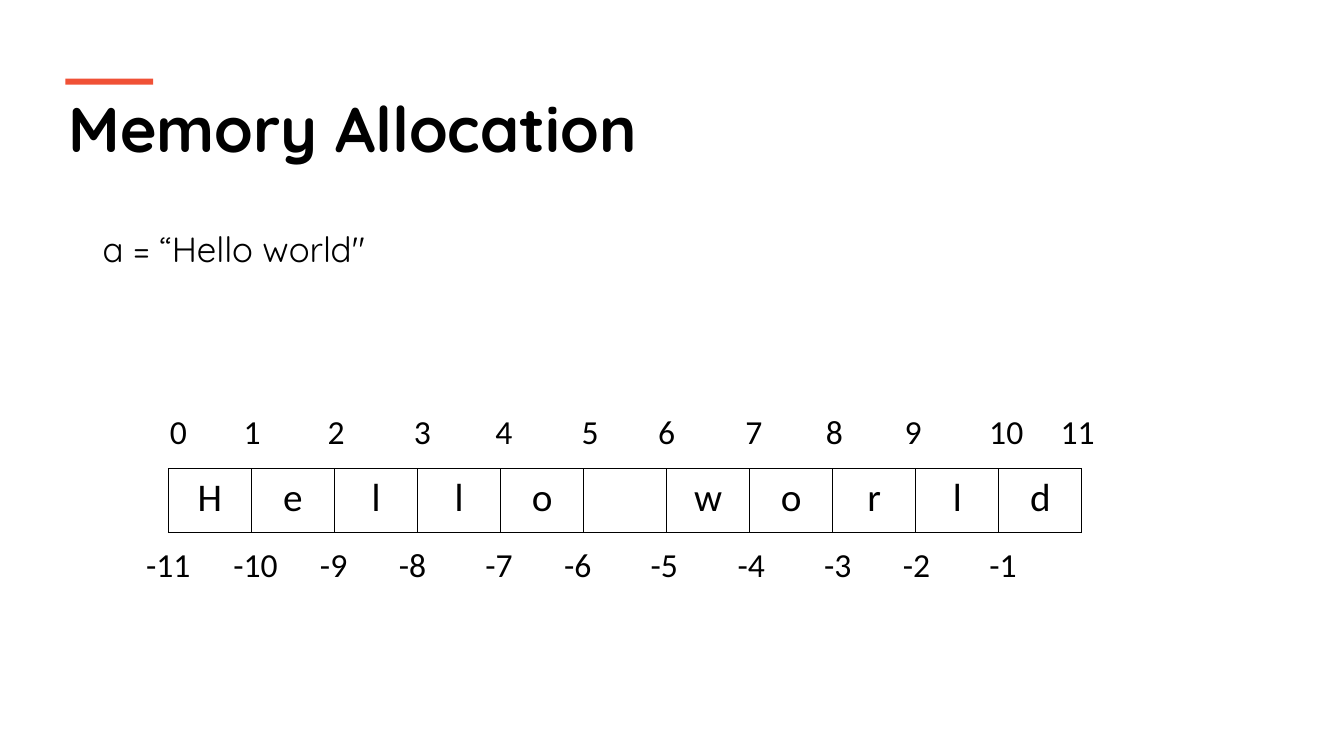
"""Build the slide on how a string is laid out in memory."""
import dataclasses

import lxml.etree
import pptx
import pptx.dml.color
import pptx.enum.shapes
import pptx.enum.text
import pptx.oxml.ns
import pptx.util

TITLE = "Memory Allocation"
STATEMENT = "a = “Hello world\""
LETTERS = "Hello world"
FORWARD = [("0", 0.12), ("1", 1.01), ("2", 2.02), ("3", 3.06), ("4", 4.04), ("5", 5.08),
           ("6", 6), ("7", 7.05), ("8", 8.02), ("9", 8.97), ("10", 10.09), ("11", 10.95)]
BACKWARD = [("-11", 0), ("-10", 1.05), ("-9", 1.99), ("-8", 2.94), ("-7", 3.98), ("-6", 4.93),
            ("-5", 5.97), ("-4", 7.02), ("-3", 8.06), ("-2", 9.01), ("-1", 10.05)]


@dataclasses.dataclass(frozen=True)
class Theme:
    ink: str = "000000"
    accent: str = "F05136"
    heading_font: str = "Quicksand"
    label_font: str = "Calibri"
    title_size: int = 45
    statement_size: int = 25
    letter_size: int = 28
    index_size: int = 24
    border: int = 1


THEME = Theme()
ALIGN = pptx.enum.text.PP_ALIGN
WIDTH, HEIGHT = 13.33, 7.5
GRID_LEFT, GRID_TOP, GRID_WIDTH, ROW = 1.67, 4.65, 9.06, 0.63
COLUMN = GRID_WIDTH / len(LETTERS)
INDEX_ROWS = [(FORWARD, GRID_TOP - 0.62), (BACKWARD, GRID_TOP + 0.7)]
INDEX_HEIGHT, INSETS, DIGIT, HYPHEN = 0.5, 0.2, 0.17, 0.11


def inches(*lengths):
    return [pptx.util.Inches(length) for length in lengths]


def color(code):
    return pptx.dml.color.RGBColor.from_string(code)


def write(frame, text, *, size, font=THEME.label_font, bold=False, align=ALIGN.LEFT, spacing=1.0):
    para = frame.paragraphs[0]
    para.alignment = align
    para.line_spacing = spacing
    span = para.add_run()
    span.text = text
    span.font.size = pptx.util.Pt(size)
    span.font.name = font
    span.font.bold = bold
    span.font.color.rgb = color(THEME.ink)


def add_heading(page):
    title = page.shapes.title
    title.left, title.top, title.width, title.height = inches(0.58, 0.84, 12.34, 0.86)
    title.text_frame.vertical_anchor = pptx.enum.text.MSO_ANCHOR.TOP
    title.text_frame.auto_size = pptx.enum.text.MSO_AUTO_SIZE.NONE
    write(title.text_frame, TITLE, size=THEME.title_size, font=THEME.heading_font, bold=True)
    bar = page.shapes.add_shape(pptx.enum.shapes.MSO_SHAPE.RECTANGLE, *inches(0.65, 0.78, 0.87, 0.06))
    bar.shadow.inherit = False
    bar.fill.solid()
    bar.fill.fore_color.rgb = color(THEME.accent)
    bar.line.fill.background()


def add_statement(page):
    box = page.shapes.add_textbox(*inches(0.92, 2, 11.5, 3.78))
    box.text_frame.word_wrap = True
    write(box.text_frame, STATEMENT, size=THEME.statement_size, font=THEME.heading_font, spacing=1.5)


def outline(cell):
    properties = cell._tc.get_or_add_tcPr()
    name = pptx.oxml.ns.qn
    for place, side in enumerate(("lnL", "lnR", "lnT", "lnB")):
        edge = lxml.etree.Element(name("a:" + side), w=str(pptx.util.Pt(THEME.border)))
        fill = lxml.etree.SubElement(edge, name("a:solidFill"))
        lxml.etree.SubElement(fill, name("a:srgbClr"), val=THEME.ink)
        properties.insert(place, edge)


def add_letters(page):
    frame = page.shapes.add_table(1, len(LETTERS), *inches(GRID_LEFT, GRID_TOP, GRID_WIDTH, ROW))
    table = frame.table
    table.first_row = table.horz_banding = False
    for place, letter in enumerate(LETTERS):
        table.columns[place].width = pptx.util.Inches(COLUMN)
        cell = table.cell(0, place)
        cell.fill.background()
        outline(cell)
        if letter.strip():
            write(cell.text_frame, letter, size=THEME.letter_size, align=ALIGN.CENTER)


def add_indexes(page):
    for labels, top in INDEX_ROWS:
        for label, column in labels:
            width = INSETS + sum(HYPHEN if mark == "-" else DIGIT for mark in label)
            left = GRID_LEFT + column * COLUMN - width / 2
            box = page.shapes.add_textbox(*inches(left, top, width, INDEX_HEIGHT))
            box.text_frame.word_wrap = False
            write(box.text_frame, label, size=THEME.index_size, align=ALIGN.CENTER)


def main():
    deck = pptx.Presentation()
    deck.slide_width, deck.slide_height = inches(WIDTH, HEIGHT)
    page = deck.slides.add_slide(deck.slide_layouts.get_by_name("Title Only"))
    add_heading(page)
    add_statement(page)
    add_letters(page)
    add_indexes(page)
    deck.save("out.pptx")


if __name__ == "__main__":
    main()
